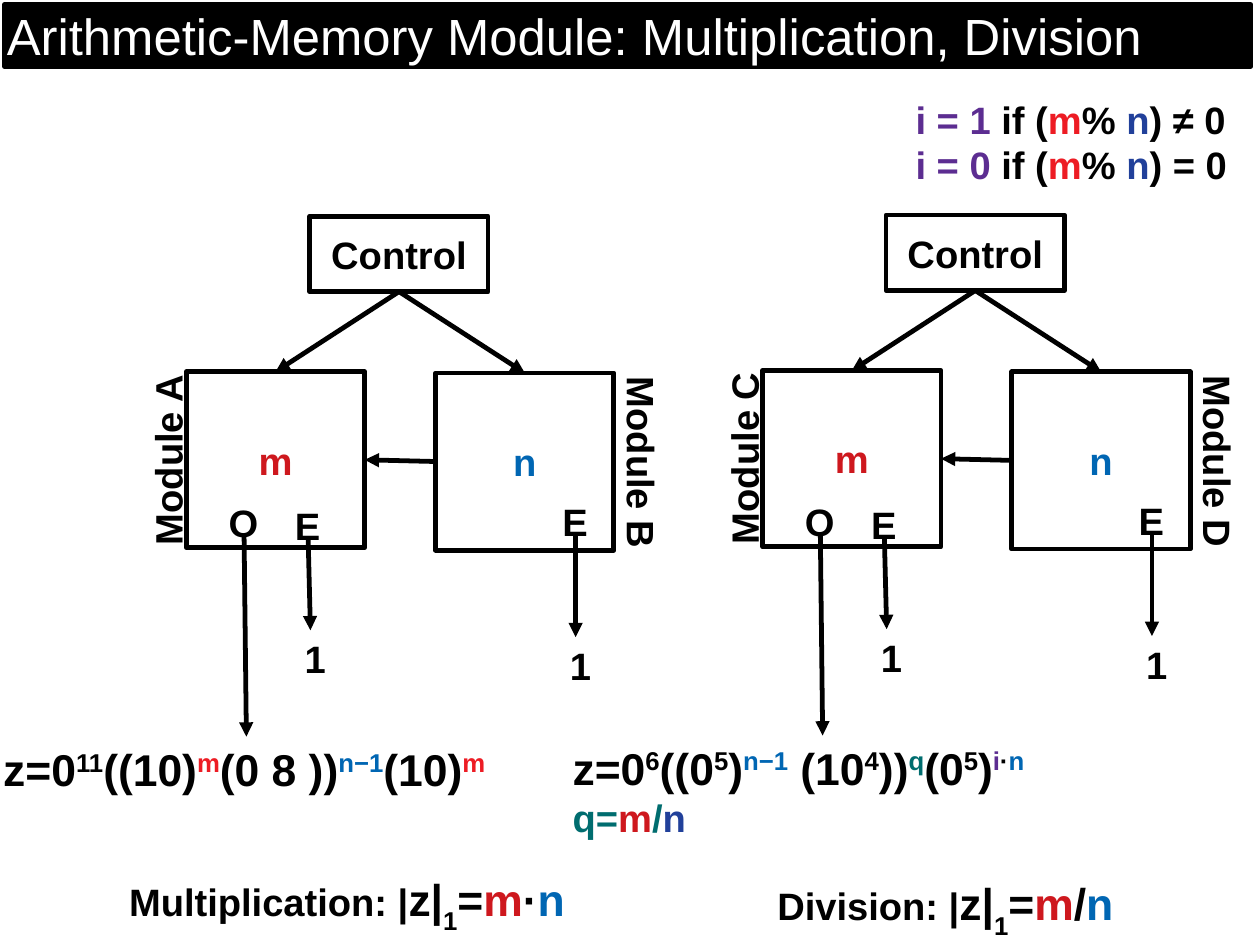
from lxml import etree
from pptx import Presentation
from pptx.dml.color import RGBColor
from pptx.enum.shapes import MSO_CONNECTOR, MSO_SHAPE
from pptx.enum.text import MSO_ANCHOR, PP_ALIGN
from pptx.oxml.ns import qn
from pptx.util import Inches, Pt

BLACK = RGBColor(0x00, 0x00, 0x00)
WHITE = RGBColor(0xFF, 0xFF, 0xFF)
RED = RGBColor(0xCE, 0x18, 0x1E)
BRIGHT_RED = RGBColor(0xED, 0x1C, 0x24)
BLUE = RGBColor(0x00, 0x66, 0xB3)
NAVY = RGBColor(0x21, 0x40, 0x9A)
TEAL = RGBColor(0x00, 0x6D, 0x6F)
PURPLE = RGBColor(0x5C, 0x2D, 0x91)

RECTANGLE, ELLIPSE = MSO_SHAPE.RECTANGLE, MSO_SHAPE.OVAL
STRAIGHT = MSO_CONNECTOR.STRAIGHT
MIDDLE, TOP_ANCHOR = MSO_ANCHOR.MIDDLE, MSO_ANCHOR.TOP
LEFT_ALIGN, CENTER = PP_ALIGN.LEFT, PP_ALIGN.CENTER
TOP, LEFT, BOTTOM, RIGHT = range(4)
SUPER, SUB = 33, -33
COLUMNS, ROWS = 110.2, 82.7


def cells(count):
    return Inches(count / 10)


class SlideBuilder:
    font_name = "Arial"
    text_size = 24
    large_size = 28
    line_width = Pt(3)

    def __init__(self, presentation):
        self.slide = presentation.slides.add_slide(presentation.slide_layouts[6])

    def fill_text(self, shape, lines, size=text_size, bold=True, align=LEFT_ALIGN,
                  anchor=TOP_ANCHOR, insets=(1, 0.5), wrap=True):
        frame = shape.text_frame
        frame.word_wrap = wrap
        frame.vertical_anchor = anchor
        frame.margin_left = frame.margin_right = cells(insets[0])
        frame.margin_top = frame.margin_bottom = cells(insets[1])
        for index, line in enumerate(lines):
            paragraph = frame.add_paragraph() if index else frame.paragraphs[0]
            paragraph.alignment = align
            for part in line:
                defaults = (0, size)[len(part) - 2:]
                text, color, baseline, run_size = part + defaults
                run = paragraph.add_run()
                run.text = text
                run.font.name = self.font_name
                run.font.size = Pt(run_size)
                run.font.bold = bold
                run.font.color.rgb = color
                if baseline:
                    run._r.get_or_add_rPr().set("baseline", str(baseline * 1000))

    def text(self, column, row, width, height, lines, rotation=0, **style):
        box = self.slide.shapes.add_textbox(*map(cells, (column, row, width, height)))
        box.rotation = rotation
        self.fill_text(box, lines, **style)

    def box(self, column, row, width, height, text, color=BLACK, fill=WHITE, **style):
        shape = self.slide.shapes.add_shape(
            RECTANGLE, *map(cells, (column, row, width, height)))
        shape.shadow.inherit = False
        shape.fill.solid()
        shape.fill.fore_color.rgb = fill
        shape.line.color.rgb = BLACK
        shape.line.width = self.line_width
        settings = {"align": CENTER, "anchor": MIDDLE, "insets": (0.2, 0.2), **style}
        self.fill_text(shape, [[(text, color)]], **settings)
        return shape

    def port(self, column, row, letter):
        shape = self.slide.shapes.add_shape(
            ELLIPSE, *map(cells, (column, row, 2, 2.2)))
        shape.shadow.inherit = False
        shape.fill.solid()
        shape.fill.fore_color.rgb = WHITE
        shape.line.fill.background()
        self.fill_text(shape, [[(letter, BLACK)]], align=CENTER, anchor=MIDDLE, wrap=False)

    def arrow(self, begin=(0, 0), end=(0, 0)):
        connector = self.slide.shapes.add_connector(
            STRAIGHT, *map(cells, (*begin, *end)))
        connector.line.color.rgb = BLACK
        connector.line.width = self.line_width
        line = connector.line._get_or_add_ln()
        etree.SubElement(line, qn("a:tailEnd"), type="triangle")
        etree.SubElement(connector._element.spPr, qn("a:effectLst"))
        return connector

    def join(self, source, source_side, target, target_side):
        connector = self.arrow()
        connector.begin_connect(source, source_side)
        connector.end_connect(target, target_side)

    def machine(self, x, y, left_name, right_name):
        m_box = self.box(x, y + 13.6, 15.6, 15.4, "m", RED)
        n_box = self.box(x + 21.8, y + 13.7, 15.6, 15.5, "n", BLUE)
        control = self.box(x + 10.8, y, 15.6, 6.6, "Control")
        self.text(x - 9, y + 16.5, 18.1, 8.4, [[(left_name, BLACK)]], rotation=270)
        self.text(x + 27.4, y + 18.3, 20.2, 9.7, [[(right_name, BLACK)]], rotation=90)
        self.join(n_box, LEFT, m_box, RIGHT)
        self.join(control, BOTTOM, m_box, TOP)
        self.join(control, BOTTOM, n_box, TOP)
        for letter, column, row, shift, length in (
                ("O", 4, 25.7, 0.2, 17.6),
                ("E", 9.6, 25.9, 0.2, 8.1),
                ("E", 33, 25.6, 0, 9)):
            start = (x + column + 1.05, y + row + 2.2)
            tip = (start[0] + shift, start[1] + length)
            self.arrow(start, tip)
            self.port(x + column, y + row, letter)
            if letter == "E":
                self.text(tip[0] - 1.5, tip[1], 3.1, 4.7, [[("1", BLACK)]])

    def result(self, column, row, width, name, operator, wrap):
        large = self.large_size
        self.text(column, row, width, 6.3, [[
            (name + ": |", BLACK), ("z|", BLACK, 0, large), ("1", BLACK, SUB, large),
            ("=", BLACK, 0, large), ("m", RED, 0, large),
            (operator, BLACK, 0, large), ("n", BLUE, 0, large)]], wrap=wrap)


def main():
    presentation = Presentation()
    presentation.slide_width = cells(COLUMNS)
    presentation.slide_height = cells(ROWS)
    builder = SlideBuilder(presentation)

    builder.box(0.4, 0.4, 109, 5.4, "Arithmetic-Memory Module: Multiplication, Division",
                WHITE, BLACK, size=32, bold=False, align=LEFT_ALIGN)
    builder.machine(16.3, 18.9, "Module A", "Module B")
    builder.machine(66.7, 18.8, "Module C", "Module D")

    builder.text(-0.7, 64.4, 44.5, 5.3, [[
        ("z=0", BLACK), ("11", BLACK, SUPER), ("((10)", BLACK),
        ("m", BRIGHT_RED, SUPER), ("(0 8 ))", BLACK), ("n−1", BLUE, SUPER),
        ("(10)", BLACK), ("m", BRIGHT_RED, SUPER)]], size=builder.large_size)
    small = builder.text_size
    builder.text(49.1, 64.3, 45.6, 9, [
        [("z=0", BLACK), ("6", BLACK, SUPER), ("((0", BLACK), ("5", BLACK, SUPER),
         (")", BLACK), ("n−1", BLUE, SUPER), (" (10", BLACK), ("4", BLACK, SUPER),
         ("))", BLACK), ("q", TEAL, SUPER), ("(0", BLACK), ("5", BLACK, SUPER),
         (")", BLACK), ("i", PURPLE, SUPER), ("·", BLACK, SUPER), ("n", BLUE, SUPER)],
        [("q=", TEAL, 0, small), ("m", RED, 0, small),
         ("/", TEAL, 0, small), ("n", NAVY, 0, small)]], size=builder.large_size)

    builder.result(10.3, 75.7, 42.8, "Multiplication", "·", True)
    builder.result(67, 76.1, 31.4, "Division", "/", False)
    builder.text(79.1, 7.9, 30.4, 8.4, [
        [(f"i = {value}", PURPLE), (" if (", BLACK), ("m", BRIGHT_RED), ("% ", BLACK),
         ("n", NAVY), (f") {relation} 0", BLACK)]
        for value, relation in ((1, "≠"), (0, "="))])

    presentation.save("out.pptx")


if __name__ == "__main__":
    main()
